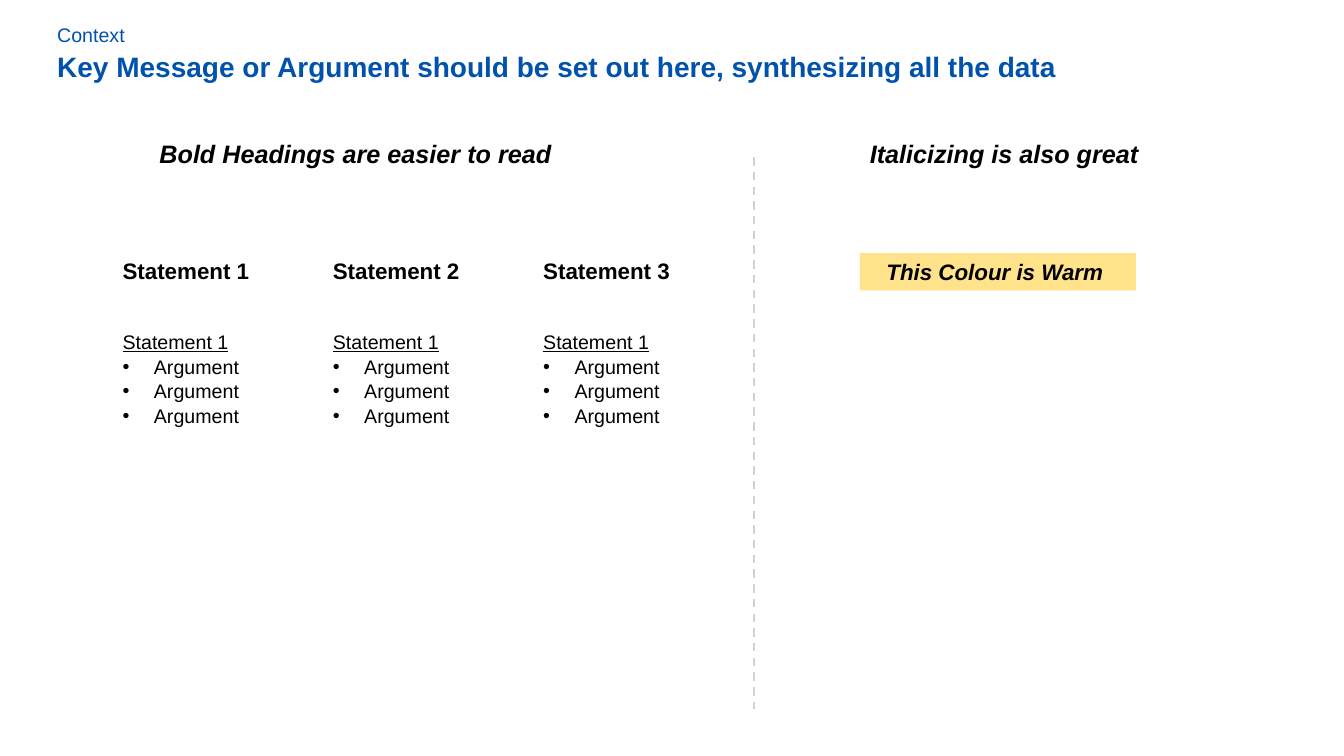
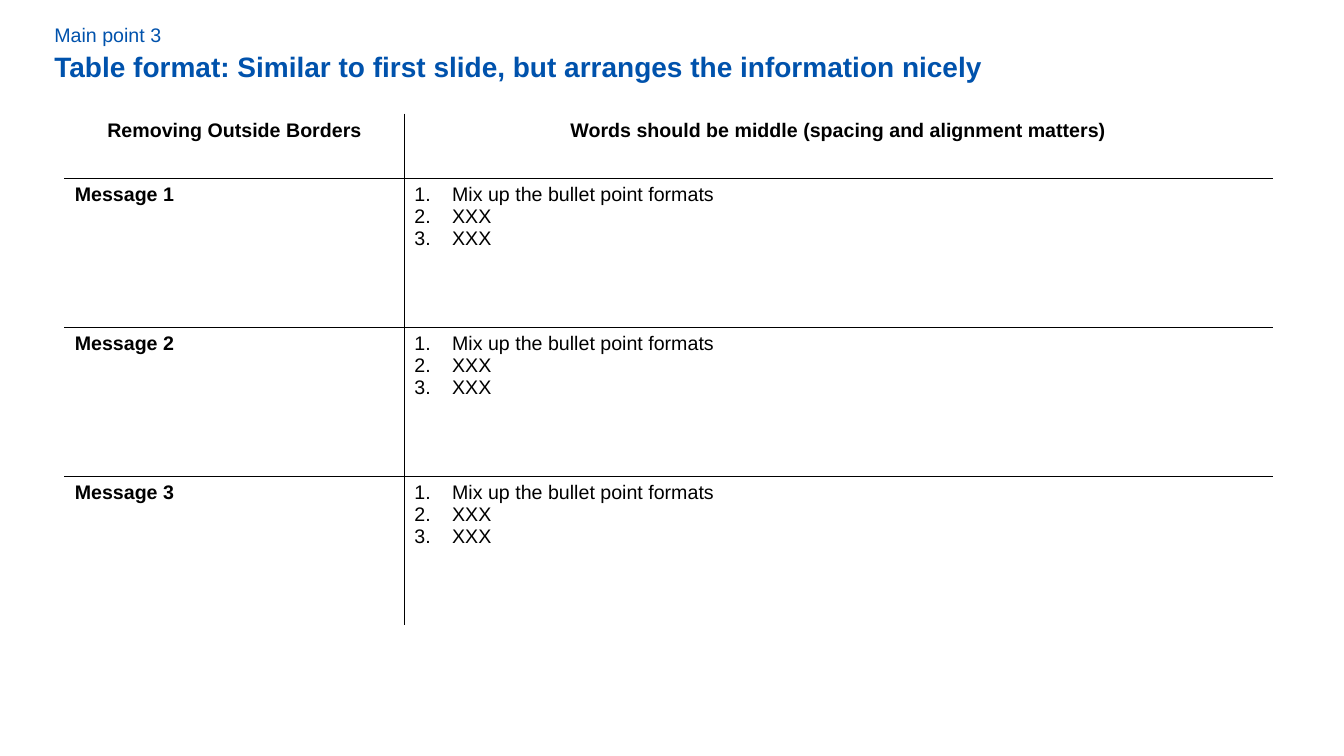
from lxml.etree import SubElement
from pptx import Presentation
from pptx.dml.color import RGBColor
from pptx.enum.dml import MSO_LINE_DASH_STYLE as Dash
from pptx.enum.shapes import MSO_CONNECTOR as Connector, MSO_SHAPE as Shape
from pptx.enum.text import MSO_ANCHOR as Anchor, PP_ALIGN as Align
from pptx.oxml import parse_xml
from pptx.oxml.ns import nsdecls, qn
from pptx.util import Cm, Pt

BLUE, BLACK, WHITE = "0052AC", "000000", "FFFFFF"
WARM, GREY = "FFE38B", "D1D1D1"


def color(value):
    return RGBColor.from_string(value)


def set_border(cell, index, side, value):
    cell._tc.get_or_add_tcPr().insert(index, parse_xml(
        f'<a:{side} {nsdecls("a")} w="12700"><a:solidFill>'
        f'<a:srgbClr val="{value}"/></a:solidFill></a:{side}>'))


class SlideBuilder:
    font = "Arial"

    def __init__(self):
        self.deck = Presentation()
        self.deck.slide_width, self.deck.slide_height = Cm(33.87), Cm(19.05)
        self.page = None

    def new_page(self, left, context, message):
        self.page = self.deck.slides.add_slide(self.deck.slide_layouts[6])
        self.text(left, 1.12, 30.07, 1.11, message, 20, BLUE, bold=True)
        self.text(left, 0.46, 30.07, 0.85, context, 14, BLUE)

    def style(self, para, size, value=BLACK, bold=False, italic=False,
              underline=False, align=Align.LEFT):
        para.alignment = align
        for span in para.runs:
            font = span.font
            font.name, font.size, font.color.rgb = self.font, Pt(size), color(value)
            font.bold, font.italic, font.underline = bold, italic, underline

    def mark(self, para, indent, tag, **attributes):
        """Give a paragraph a hanging bullet or number."""
        settings = para._p.get_or_add_pPr()
        settings.set("marL", str(Cm(indent)))
        settings.set("indent", str(-Cm(indent)))
        SubElement(settings, qn("a:buFont"), typeface=self.font)
        SubElement(settings, qn(tag), **attributes)

    def text(self, left, top, width, height, words, size, value=BLACK, **look):
        box = self.page.shapes.add_textbox(Cm(left), Cm(top), Cm(width), Cm(height))
        frame = box.text_frame
        frame.word_wrap = True
        frame.text = words
        for para in frame.paragraphs:
            self.style(para, size, value, **look)
        return frame

    def arguments(self, left, top, width, height, heading, points):
        frame = self.text(left, top, width, height, "\n".join([heading, *points]), 14)
        first, *rest = frame.paragraphs
        self.style(first, 14, underline=True)
        for para in rest:
            para.space_before = Pt(1)
            self.mark(para, 0.79, "a:buChar", char="•")

    def label(self, left, top, width, height, words, fill):
        box = self.page.shapes.add_shape(
            Shape.RECTANGLE, Cm(left), Cm(top), Cm(width), Cm(height))
        box.shadow.inherit = False
        box.fill.solid()
        box.fill.fore_color.rgb = color(fill)
        box.line.fill.background()
        box.text_frame.word_wrap = True
        box.text_frame.vertical_anchor = Anchor.MIDDLE
        box.text_frame.text = words
        self.style(box.text_frame.paragraphs[0], 16, bold=True, italic=True,
                   align=Align.CENTER)

    def divider(self, x, top, bottom):
        line = self.page.shapes.add_connector(
            Connector.STRAIGHT, Cm(x), Cm(top), Cm(x), Cm(bottom))
        line.line.color.rgb = color(GREY)
        line.line.width = Pt(1.5)
        line.line.dash_style = Dash.DASH
        SubElement(line._element.spPr, qn("a:effectLst"))

    def table(self, left, top, widths, heights, rows):
        """Only the inner borders are dark; the outer ones vanish."""
        table = self.page.shapes.add_table(
            len(rows), len(widths), Cm(left), Cm(top),
            Cm(sum(widths)), Cm(sum(heights))).table
        table.first_row = table.horz_banding = False
        for column, width in zip(table.columns, widths):
            column.width = Cm(width)
        for row, height in zip(table.rows, heights):
            row.height = Cm(height)
        last_row, last_column = len(rows) - 1, len(widths) - 1
        for r, row in enumerate(rows):
            for c, words in enumerate(row):
                cell = table.cell(r, c)
                cell.fill.solid()
                cell.fill.fore_color.rgb = color(WHITE)
                outside = {"lnL": c == 0, "lnR": c == last_column,
                           "lnT": r == 0, "lnB": r == last_row}
                for index, (side, hidden) in enumerate(outside.items()):
                    set_border(cell, index, side, WHITE if hidden else BLACK)
                cell.text_frame.text = words
                for para in cell.text_frame.paragraphs:
                    self.style(para, 14, bold=r == 0 or c == 0,
                               align=Align.CENTER if r == 0 else Align.LEFT)
                    if r and c:
                        self.mark(para, 0.95, "a:buAutoNum", type="arabicPeriod")


def build_statements(slides):
    slides.new_page(1.19, "Context",
                    "Key Message or Argument should be set out here, "
                    "synthesizing all the data")
    # Column headings
    for left, heading in ((3.77, "Bold Headings are easier to read"),
                          (21.67, "Italicizing is also great")):
        slides.text(left, 3.35, 11.23, 1.02, heading, 18, bold=True, italic=True)
    # Three statements with their arguments
    for index in range(3):
        left = 2.84 + 5.3 * index
        slides.text(left, 6.35, 3.89, 0.94, f"Statement {index + 1}", 16, bold=True)
        slides.arguments(left, 8.18, 3.89, 2.64, "Statement 1", ["Argument"] * 3)
    # Right side
    slides.label(21.67, 6.38, 6.96, 0.94, "This Colour is Warm ", WARM)
    slides.divider(19, 3.96, 17.86)


def build_table(slides):
    slides.new_page(1.12, "Main point 3",
                    "Table format: Similar to first slide, "
                    "but arranges the information nicely")
    points = "Mix up the bullet point formats\nXXX\nXXX"
    header = ("Removing Outside Borders",
              "Words should be middle (spacing and alignment matters)")
    messages = [(f"Message {number}", points) for number in range(1, 4)]
    slides.table(1.63, 2.88, (8.56, 21.87), (1.61, *[3.76] * 3),
                 [header, *messages])


def main():
    slides = SlideBuilder()
    build_statements(slides)
    build_table(slides)
    slides.deck.save("out.pptx")


if __name__ == "__main__":
    main()
